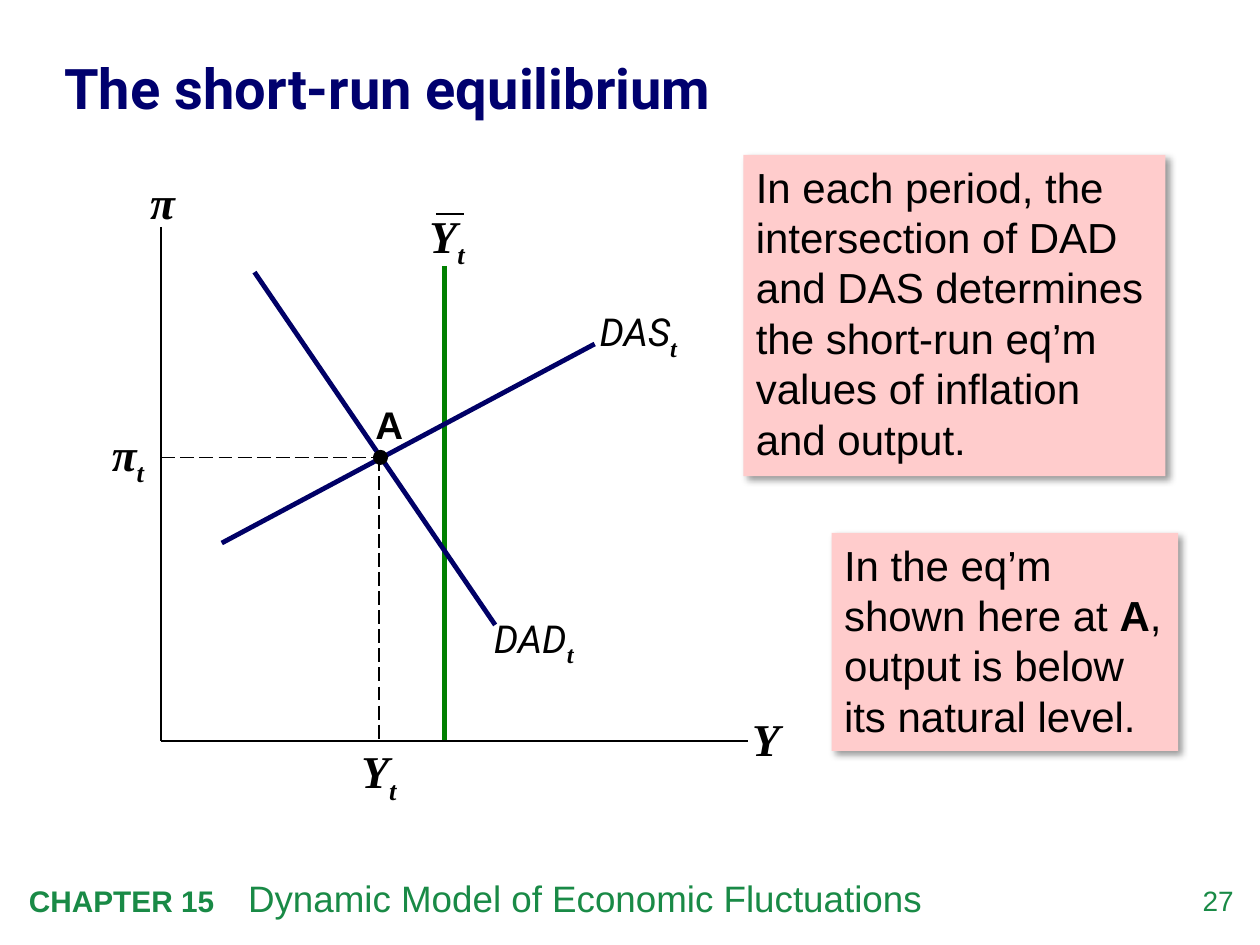
import pptx
import pptx.util
import pptx.dml.color
import pptx.enum.dml
import pptx.enum.shapes
import pptx.enum.text
import pptx.oxml
import pptx.oxml.ns
import lxml.etree

Inches = pptx.util.Inches
Pt = pptx.util.Pt
Kind = pptx.enum.shapes.MSO_SHAPE
Align = pptx.enum.text.PP_ALIGN
Anchor = pptx.enum.text.MSO_ANCHOR
Dash = pptx.enum.dml.MSO_LINE

COLORS = {
    "ink": "000000",
    "title": "00006E",
    "curve": "000066",
    "level": "008000",
    "foot": "198A46",
    "note": "FFCCCC",
}
SERIF = "Times New Roman"
PAD = (0.1, 0.05, 0.1, 0.05)
FLUSH = (0, 0, 0, 0)


def shade(name):
    return pptx.dml.color.RGBColor.from_string(COLORS[name])


def write(para, text, size=24, font="Arial", color="ink", bold=False, slant=False, sub=False):
    run = para.add_run()
    run.text = text
    run.font.size = Pt(size)
    run.font.name = font
    run.font.bold = bold
    run.font.italic = slant
    run.font.color.rgb = shade(color)
    if sub:
        run.font._element.set("baseline", "-25000")


class Deck:
    """Hold the style and the current slide, and draw each kind of element."""

    def __init__(self):
        self.file = pptx.Presentation()
        self.file.slide_width = Inches(10)
        self.file.slide_height = Inches(7.5)
        self.slide = self.file.slides.add_slide(self.file.slide_layouts[6])
        self.math = {"size": 26, "font": SERIF, "bold": True, "slant": True}

    def frame(self, shape, pad=PAD, align=Align.LEFT, anchor=Anchor.TOP):
        frame = shape.text_frame
        frame.word_wrap = True
        frame.vertical_anchor = anchor
        frame.margin_left, frame.margin_top, frame.margin_right, frame.margin_bottom = map(Inches, pad)
        para = frame.paragraphs[0]
        para.alignment = align
        return para

    def text(self, box, **style):
        return self.frame(self.slide.shapes.add_textbox(*map(Inches, box)), **style)

    def symbol(self, box, name, sub="", **style):
        para = self.text(box, **style)
        write(para, name, **self.math)
        if sub:
            write(para, sub, sub=True, **self.math)

    def label(self, box, name):
        para = self.text(box, pad=(0, 0, 0, 0.1))
        write(para, name, size=22, font="Roboto", slant=True)
        write(para, "t", font=SERIF, bold=True, slant=True, sub=True)

    def line(self, start, end, color="ink", width=1, dash=None):
        line = self.slide.shapes.add_connector(
            pptx.enum.shapes.MSO_CONNECTOR.STRAIGHT, *map(Inches, start + end))
        line.line.color.rgb = shade(color)
        line.line.width = Pt(width)
        if dash:
            line.line.dash_style = dash
        lxml.etree.SubElement(line._element.spPr, pptx.oxml.ns.qn("a:effectLst"))

    def shape(self, kind, box, fill):
        shape = self.slide.shapes.add_shape(kind, *map(Inches, box))
        shape.shadow.inherit = False
        shape.fill.solid()
        shape.fill.fore_color.rgb = shade(fill)
        shape.line.fill.background()
        return shape

    def note(self, box, parts):
        shape = self.shape(Kind.RECTANGLE, box, "note")
        glow = pptx.oxml.parse_xml(
            f'<a:outerShdw {pptx.oxml.ns.nsdecls("a")} blurRad="{Pt(4)}" dist="{Pt(3)}" '
            f'dir="{45 * 60000}" algn="tl" rotWithShape="0"><a:srgbClr val="{COLORS["ink"]}">'
            '<a:alpha val="40000"/></a:srgbClr></a:outerShdw>')
        shape._element.spPr.find(pptx.oxml.ns.qn("a:effectLst")).append(glow)
        para = self.frame(shape)
        for text, bold in parts:
            write(para, text, bold=bold)

    def footer(self, chapter, topic, page):
        para = self.text((0.13, 6.9, 8.18, 0.45))
        tabs = lxml.etree.SubElement(para._p.get_or_add_pPr(), pptx.oxml.ns.qn("a:tabLst"))
        lxml.etree.SubElement(tabs, pptx.oxml.ns.qn("a:tab"), pos=str(Inches(1.74)), algn="l")
        write(para, chapter + "\t", size=17, color="foot", bold=True)
        write(para, topic, size=21, color="foot")
        para = self.text((9.24, 7.01, 0.55, 0.32), pad=FLUSH, align=Align.RIGHT)
        write(para, page, size=16, color="foot")

    def title(self, text):
        para = self.text((0.51, 0.26, 9.02, 0.83), pad=FLUSH, anchor=Anchor.MIDDLE)
        para.line_spacing = 1.05
        write(para, text, size=32, font="Roboto", color="title", bold=True)


def main():
    deck = Deck()
    left, base = 1.28, 5.88
    x, y = 3.01, 3.63
    level = 3.53
    dot = 0.12

    deck.footer("CHAPTER 15", "Dynamic Model of Economic Fluctuations", "27")
    deck.title("The short-run equilibrium")

    deck.line((level, 2.11), (level, base), "level", 2.75)
    deck.symbol((3.31, 1.6, 0.52, 0.54), "Y", "t")
    deck.line((3.46, 1.7), (3.68, 1.7), width=1.25)

    deck.line((left, 1.8), (left, base))
    deck.line((left, base), (5.94, base))
    deck.symbol((5.97, 5.64, 0.45, 0.49), "Y", pad=(0, 0, 0, 0.05))
    deck.symbol((1, 1.33, 0.58, 0.54), "π", align=Align.CENTER)
    deck.symbol((0.71, 3.33, 0.61, 0.54), "π", "t", align=Align.CENTER)
    deck.symbol((2.77, 5.85, 0.57, 0.54), "Y", "t")

    deck.line((2.02, 2.16), (3.93, 4.96), "curve", 2.75)
    deck.label((3.92, 4.85, 0.77, 0.47), "DAD")
    deck.line((1.76, 4.31), (4.72, 2.73), "curve", 2.75)
    deck.label((4.76, 2.42, 0.76, 0.47), "DAS")

    deck.line((left, y), (x, y), dash=Dash.LONG_DASH)
    deck.line((x, y), (x, base), dash=Dash.LONG_DASH)
    deck.shape(Kind.OVAL, (x + 0.01 - dot / 2, y - dot / 2, dot, dot), "ink")
    write(deck.text((2.88, 3.13, 0.41, 0.47)), "A", size=22, bold=True)

    deck.note((5.9, 1.23, 3.35, 2.55), [
        ("In each period, the intersection of DAD and DAS determines "
         "the short-run eq’m values of inflation and output.", False)])
    deck.note((6.6, 4.23, 2.75, 1.73), [
        ("In the eq’m shown here at ", False),
        ("A", True),
        (", output is below its natural level.", False)])

    deck.file.save("out.pptx")


if __name__ == "__main__":
    main()
